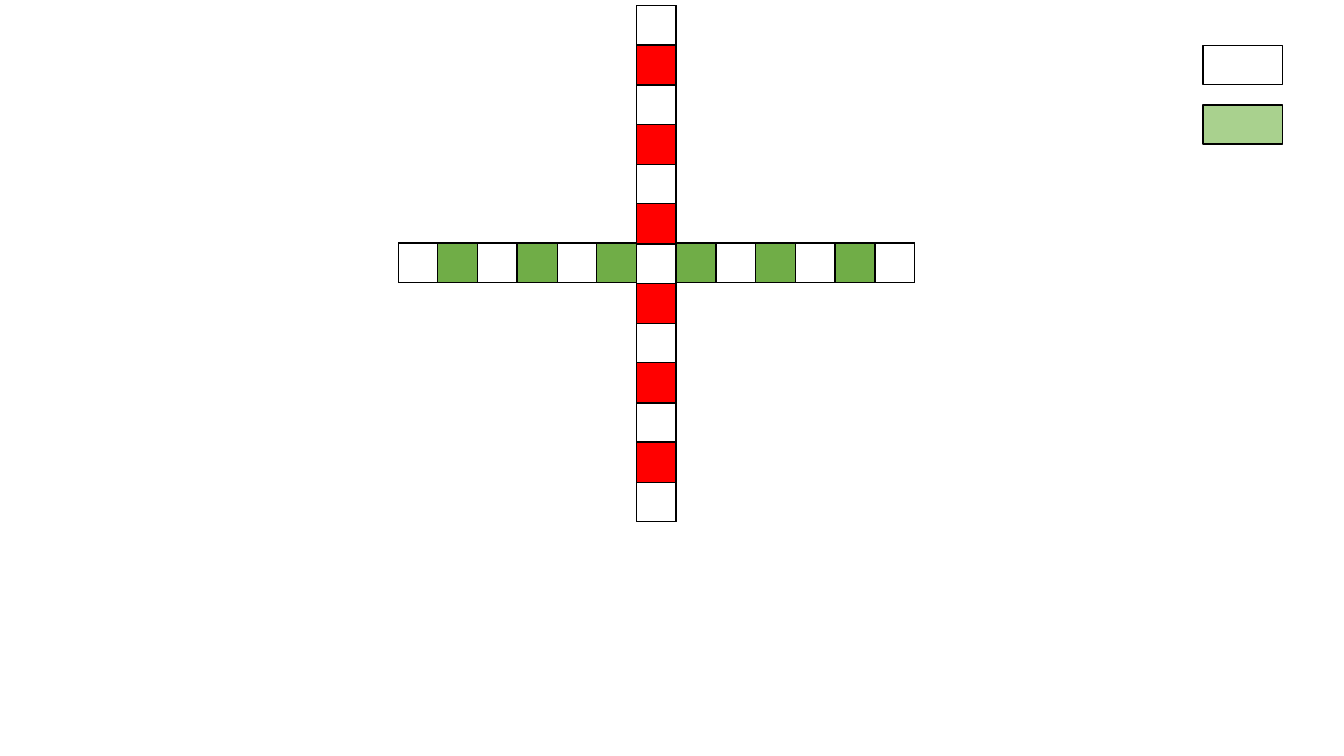
from dataclasses import dataclass

from pptx import Presentation
from pptx.dml.color import RGBColor
from pptx.enum import shapes
from pptx.util import Inches, Pt

CELL = 0.39
BAR_LENGTH = 5.12
BAR_LEFT = 3.95
WHITE_CELLS = 7
STEP = (BAR_LENGTH - CELL) / (WHITE_CELLS - 1)
WHITE = "FFFFFF"
BLACK = "000000"


@dataclass
class Bar:
    top: float
    color: str
    rotation: float


@dataclass
class Swatch:
    top: float
    color: str


BARS = [Bar(2.41, "70AD47", 0), Bar(2.42, "FF0000", 270)]
SWATCHES = [Swatch(0.45, WHITE), Swatch(1.04, "A9D18E")]


def rgb(color: str) -> RGBColor:
    return RGBColor.from_string(color)


def add_box(parent, left: float, top: float, width: float, color: str) -> None:
    sp = parent.add_shape(
        shapes.MSO_SHAPE.RECTANGLE,
        Inches(left), Inches(top), Inches(width), Inches(CELL),
    )
    sp.shadow.inherit = False
    sp.fill.solid()
    sp.fill.fore_color.rgb = rgb(color)
    sp.line.color.rgb = rgb(BLACK)
    sp.line.width = Pt(1)


def add_bar(s, bar: Bar) -> None:
    group = s.shapes.add_group_shape()
    add_box(group.shapes, BAR_LEFT, bar.top, BAR_LENGTH, bar.color)
    for i in range(WHITE_CELLS):
        add_box(group.shapes, BAR_LEFT + i * STEP, bar.top, CELL, WHITE)
    group.rotation = bar.rotation


def main() -> None:
    prs = Presentation()
    prs.slide_width = Inches(13.33)
    prs.slide_height = Inches(7.5)
    s = prs.slides.add_slide(prs.slide_layouts[6])
    for bar in BARS:
        add_bar(s, bar)
    for swatch in SWATCHES:
        add_box(s.shapes, 11.93, swatch.top, 0.79, swatch.color)
    prs.save("out.pptx")


if __name__ == "__main__":
    main()
